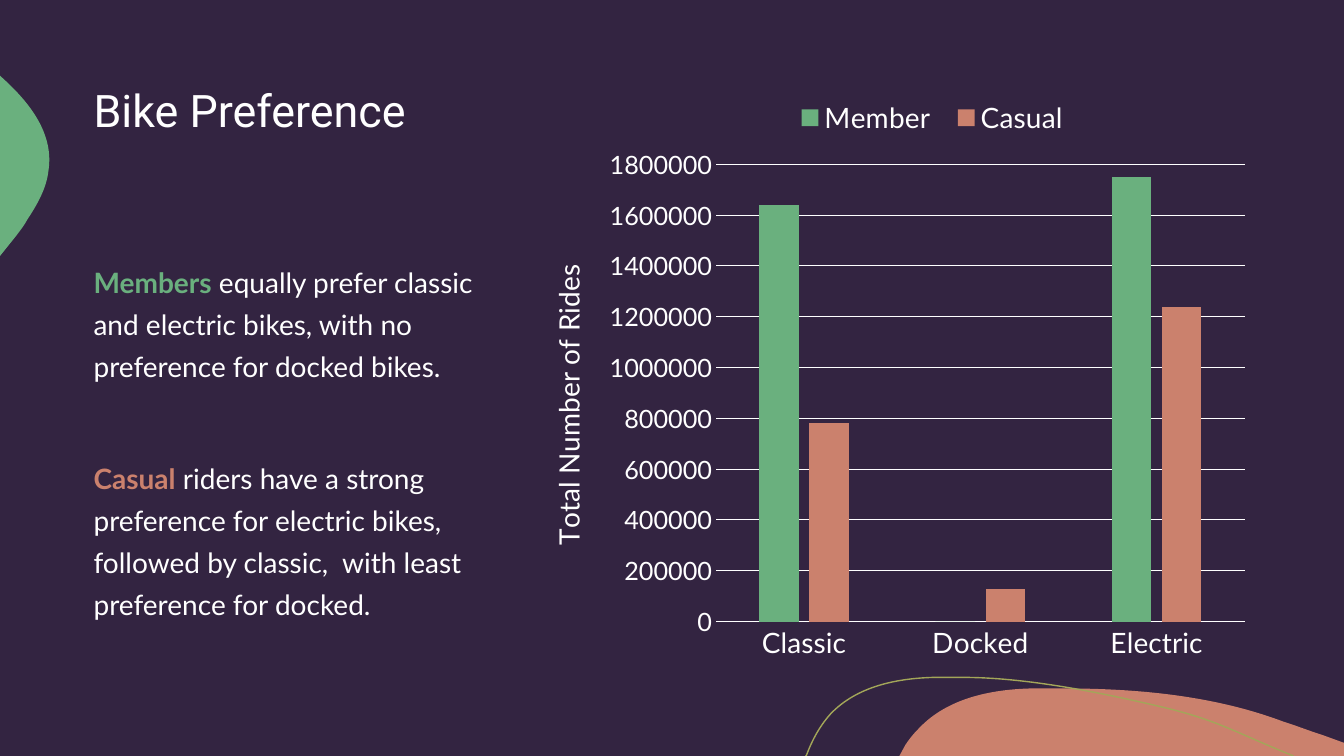
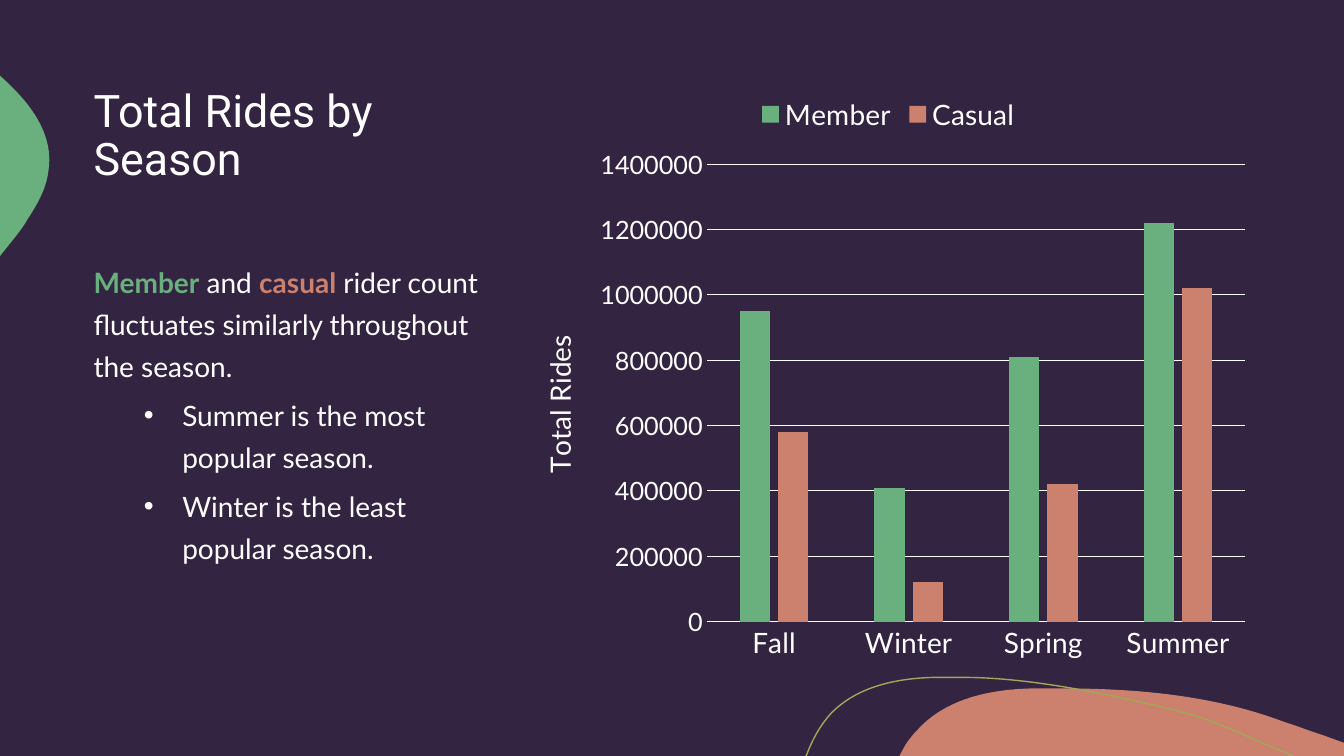
"""Build two slides on bike rides, each with a text column and a column chart."""
from lxml.etree import SubElement
from pptx import Presentation
from pptx.chart.data import CategoryChartData
from pptx.dml.color import RGBColor
from pptx.enum.chart import XL_CHART_TYPE, XL_LEGEND_POSITION, XL_TICK_MARK
from pptx.oxml import parse_xml
from pptx.oxml.ns import nsdecls, qn
from pptx.util import Inches, Pt

NIGHT = RGBColor(0x33, 0x24, 0x41)
WHITE = RGBColor(0xFF, 0xFF, 0xFF)
GREEN = RGBColor(0x6A, 0xB0, 0x7E)
CORAL = RGBColor(0xCB, 0x81, 0x6D)
OLIVE = RGBColor(0xA3, 0xA6, 0x59)

WIDE, HIGH = 13.33, 7.5
LEFT, TOP, COL = 0.83, 0.83, 4.17
RIGHT, BASE = 12.5, 6.67

HEAD = {"name": "Roboto", "size": Pt(32)}
BODY = {"name": "Lato", "size": Pt(20)}
TICK = {"name": "Lato", "size": Pt(18)}
BASIC = {"name": "Lato", "size": Pt(10)}

HILL = [(10.54, 6.83), (11.28, 6.83, 12.04, 6.9, 12.73, 7.16),
        (12.86, 7.2, 12.98, 7.25, 13.11, 7.29), (WIDE, 7.37),
        (WIDE, HIGH), (8.92, HIGH), (8.98, 7.39),
        (9.02, 7.33, 9.06, 7.28, 9.11, 7.23),
        (9.39, 6.93, 9.82, 6.84, 10.23, 6.83),
        (10.33, 6.83, 10.43, 6.83, 10.54, 6.83)]
LEAF = [(0, 0.75), (0.01, 0.76), (0.3, 1.02, 0.54, 1.33, 0.48, 1.7),
        (0.46, 1.87, 0.37, 2.03, 0.27, 2.18),
        (0.24, 2.24, 0.17, 2.33, 0.08, 2.44), (0, 2.54)]
WAVE = [(7.99, HIGH), (8, 7.49), (8.06, 7.33, 8.14, 7.19, 8.24, 7.08),
        (8.5, 6.81, 8.89, 6.73, 9.26, 6.72), (9.55, 6.72),
        (10.22, 6.72, 11, 6.89, 11.55, 7.02),
        (12.09, 7.15, 12.26, 7.27, 12.83, HIGH)]
DECOR = [(HILL, CORAL, None), (LEAF, GREEN, None), (WAVE, None, OLIVE)]

SLIDES = [
    {"title": "Bike Preference",
     "text": [
         (10, False, [("Members", GREEN),
                      (" equally prefer classic and electric bikes, with no "
                       "preference for docked bikes.", WHITE)]),
         (50, False, [("Casual", CORAL),
                      (" riders have a strong preference for electric bikes, "
                       "followed by classic,  with least preference for "
                       "docked.", WHITE)])],
     "left": 5.21, "axis": "Total Number of Rides", "top": 1800000,
     "cats": ["Classic", "Docked", "Electric"],
     "data": [("Member", [1640000, 0, 1750000], GREEN),
              ("Casual ", [780000, 130000, 1240000], CORAL)],
     "plot": {"x": 25.95, "y": 13.7, "w": 71.95, "h": 77.7},
     "name": {"x": 2.4, "y": 29.8},
     "key": {"x": 35.1, "y": 1.8, "w": 41.5, "h": 8}},
    {"title": "Total Rides by Season",
     "text": [
         (10, False, [("Member", GREEN), (" and ", WHITE), ("casual", CORAL),
                      (" rider count fluctuates similarly throughout "
                       "the season.", WHITE)]),
         (5, True, [("Summer is the most popular season.", WHITE)]),
         (5, True, [("Winter is the least popular season.", WHITE)])],
     "left": 5.12, "axis": "Total Rides", "top": 1400000,
     "cats": ["Fall", "Winter", "Spring", "Summer"],
     "data": [("Member", [950000, 410000, 810000, 1220000], GREEN),
              ("Casual", [580000, 120000, 420000, 1020000], CORAL)],
     "plot": {"x": 25.6, "y": 13.7, "w": 72.4, "h": 77.7},
     "name": {"x": 2.4, "y": 41.8}, "key": {"x": 31.8, "y": 1.3}},
]


def apply(item, vals):
    for key, val in vals.items():
        setattr(item, key, val)


def ink(font, vals, color=WHITE, bold=False):
    apply(font, {**vals, "bold": bold})
    font.color.rgb = color


def bend(shape, path):
    lines = iter(shape.element.findall(".//" + qn("a:lnTo")))
    for part in path[1:]:
        line = next(lines)
        if len(part) == 6:
            line.tag = qn("a:cubicBezTo")
            for _ in range(2):
                extra = next(lines)
                line.append(extra[0])
                extra.getparent().remove(extra)


def draw(slide, path, fill, line):
    dots = [(part[i] * 1000, part[i + 1] * 1000)
            for part in path for i in range(0, len(part), 2)]
    pen = slide.shapes.build_freeform(*dots[0], scale=Inches(1) / 1000)
    pen.add_line_segments(dots[1:], close=fill is not None)
    shape = pen.convert_to_shape()
    bend(shape, path)
    shape.shadow.inherit = False
    for paint, color in ((shape.fill, fill), (shape.line.fill, line)):
        if color is None:
            paint.background()
        else:
            paint.solid()
            paint.fore_color.rgb = color
    if line is not None:
        shape.line.width = Pt(1)


def write(slide, top, high, paras, font, gap):
    box = slide.shapes.add_textbox(
        Inches(LEFT), Inches(top), Inches(COL), Inches(high))
    frame = box.text_frame
    frame.word_wrap = True
    for i, (space, dot, runs) in enumerate(paras):
        para = frame.add_paragraph() if i else frame.paragraphs[0]
        apply(para, {"line_spacing": gap, "space_before": Pt(space)})
        if dot:
            para.level = 1
            props = para._p.get_or_add_pPr()
            props.set("marL", str(Inches(0.88)))
            props.set("indent", str(Inches(-0.38)))
            SubElement(props, qn("a:buFont")).set("typeface", "Arial")
            SubElement(props, qn("a:buChar")).set("char", "•")
        for text, color in runs:
            run = para.add_run()
            run.text = text
            ink(run.font, font, color, color != WHITE)


def pin(node, place, vals, inner=""):
    for old in node.findall(qn("c:layout")):
        node.remove(old)
    sizes = "".join(f'<c:{key} val="{val / 100:.4f}"/>'
                    for key, val in vals.items())
    node.insert(place, parse_xml(
        f'<c:layout {nsdecls("c")}><c:manualLayout>{inner}'
        f'<c:xMode val="edge"/><c:yMode val="edge"/>{sizes}'
        '</c:manualLayout></c:layout>'))


def rule(line):
    line.color.rgb = WHITE
    line.width = Pt(0.75)


def plot(slide, page):
    data = CategoryChartData(number_format="0")
    data.categories = page["cats"]
    for name, vals, _ in page["data"]:
        data.add_series(name, vals)
    chart = slide.shapes.add_chart(
        XL_CHART_TYPE.COLUMN_CLUSTERED, Inches(page["left"]), Inches(TOP),
        Inches(RIGHT - page["left"]), Inches(BASE - TOP), data).chart
    apply(chart, {"has_title": False, "has_legend": True})
    ink(chart.font, BASIC)
    apply(chart.legend, {"position": XL_LEGEND_POSITION.TOP,
                         "include_in_layout": False})
    ink(chart.legend.font, BODY)

    bars = chart.plots[0]
    apply(bars, {"gap_width": 219, "overlap": -27,
                 "vary_by_categories": False})
    for bar, (_, _, color) in zip(bars.series, page["data"]):
        bar.format.fill.solid()
        bar.format.fill.fore_color.rgb = color

    cat, val = chart.category_axis, chart.value_axis
    for axis, font in ((cat, BODY), (val, TICK)):
        apply(axis, {"major_tick_mark": XL_TICK_MARK.NONE,
                     "minor_tick_mark": XL_TICK_MARK.NONE})
        ink(axis.tick_labels.font, font)
    rule(cat.format.line)
    apply(val, {"minimum_scale": 0, "maximum_scale": page["top"],
                "major_unit": 200000, "has_major_gridlines": True})
    rule(val.major_gridlines.format.line)
    val.format.line.fill.background()

    title = val.axis_title
    title.text_frame.text = page["axis"]
    ink(title.text_frame.paragraphs[0].runs[0].font, BODY)
    root = chart.element
    turn = root.xpath("//c:valAx/c:title//a:bodyPr")[0]
    turn.set("rot", "-5400000")
    turn.set("vert", "horz")
    pin(root.xpath("//c:plotArea")[0], 0, page["plot"],
        '<c:layoutTarget val="inner"/>')
    pin(root.xpath("//c:valAx/c:title")[0], 1, page["name"])
    pin(root.xpath("//c:legend")[0], 1, page["key"])


def main():
    deck = Presentation()
    apply(deck, {"slide_width": Inches(WIDE), "slide_height": Inches(HIGH)})
    back = deck.slide_master.background.fill
    back.solid()
    back.fore_color.rgb = NIGHT
    for page in SLIDES:
        slide = deck.slides.add_slide(deck.slide_layouts[6])
        for path, fill, line in DECOR:
            draw(slide, path, fill, line)
        head = [(0, False, [(page["title"], WHITE)])]
        write(slide, TOP, 2.5 - TOP, head, HEAD, 0.9)
        write(slide, 2.5, BASE - 2.5, page["text"], BODY, 1.25)
        plot(slide, page)
    deck.save("out.pptx")


if __name__ == "__main__":
    main()
